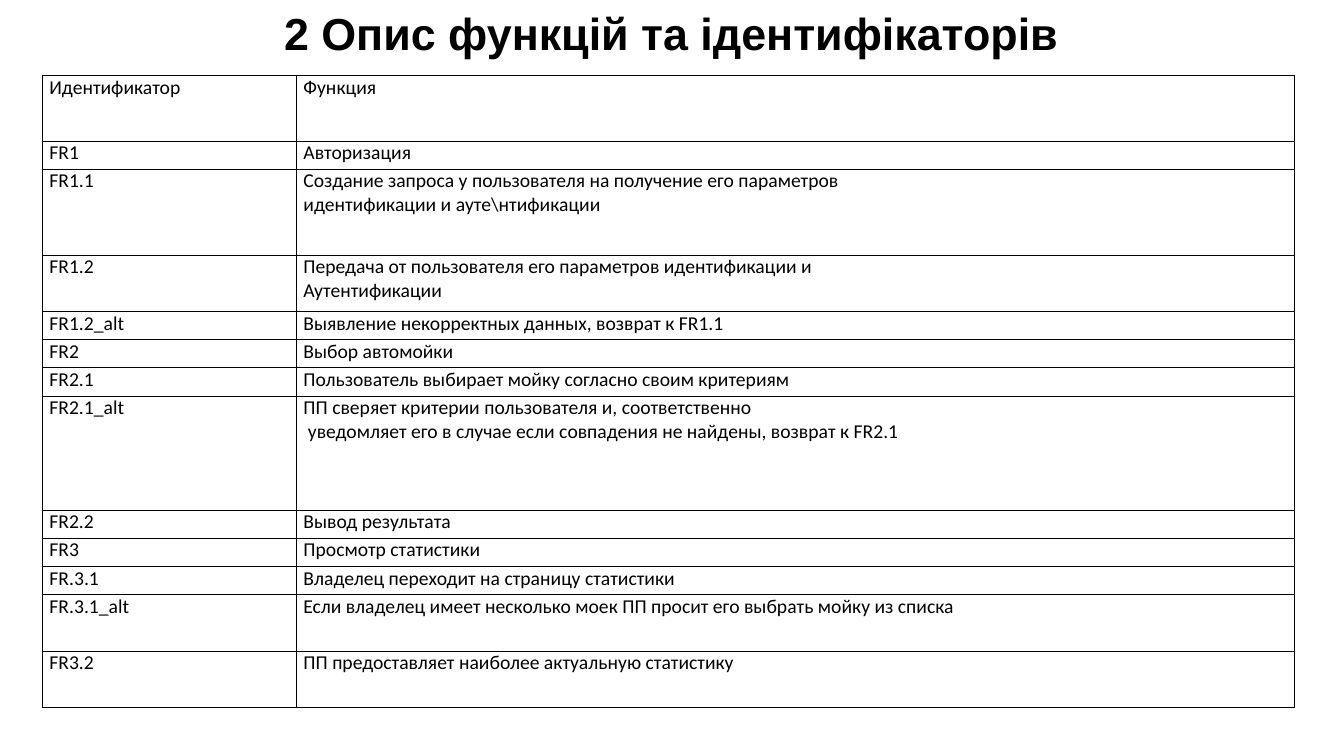
from lxml.etree import SubElement
from pptx import Presentation
from pptx.dml.color import RGBColor
from pptx.enum.text import MSO_ANCHOR, PP_ALIGN
from pptx.oxml.ns import qn
from pptx.util import Inches, Pt

BLACK = "000000"
COLUMN_WIDTHS = [2.52, 9.9]
ROWS = [
    (0.65, "Идентификатор", "Функция"),
    (0.28, "FR1", "Авторизация"),
    (0.85, "FR1.1", "Создание запроса у пользователя на получение его параметров\n"
                    "идентификации и ауте\\нтификации"),
    (0.56, "FR1.2", "Передача от пользователя его параметров идентификации и\n"
                    "Аутентификации"),
    (0.28, "FR1.2_alt", "Выявление некорректных данных, возврат к FR1.1"),
    (0.28, "FR2", "Выбор автомойки"),
    (0.28, "FR2.1", "Пользователь выбирает мойку согласно своим критериям"),
    (1.13, "FR2.1_alt", "ПП сверяет критерии пользователя и, соответственно\n"
                        " уведомляет его в случае если совпадения не найдены, возврат к FR2.1"),
    (0.28, "FR2.2", "Вывод результата"),
    (0.28, "FR3", "Просмотр статистики"),
    (0.28, "FR.3.1", "Владелец переходит на страницу статистики"),
    (0.56, "FR.3.1_alt", "Если владелец имеет несколько моек ПП просит его выбрать мойку из списка"),
    (0.56, "FR3.2", "ПП предоставляет наиболее актуальную статистику"),
]


def rgb(color):
    return RGBColor.from_string(color)


def set_font(p, name, size, color, bold=False):
    p.font.name = name
    p.font.size = Pt(size)
    p.font.bold = bold
    p.font.color.rgb = rgb(color)


def add_title(s, text):
    sp = s.shapes.title
    sp.left, sp.top = Inches(2.69), Inches(0)
    sp.width, sp.height = Inches(7.94), Inches(0.64)
    tf = sp.text_frame
    tf.text = text
    tf.word_wrap = False
    tf.vertical_anchor = MSO_ANCHOR.MIDDLE
    p = tf.paragraphs[0]
    p.alignment = PP_ALIGN.CENTER
    set_font(p, "Arial", 32, BLACK, bold=True)


def set_borders(cell, color, width):
    tc_pr = cell._tc.get_or_add_tcPr()
    for side in ("lnL", "lnR", "lnT", "lnB"):
        ln = SubElement(tc_pr, qn(f"a:{side}"), w=str(Pt(width)))
        fill = SubElement(ln, qn("a:solidFill"))
        SubElement(fill, qn("a:srgbClr"), val=color)


def fill_cell(cell, text):
    set_borders(cell, BLACK, 0.75)
    cell.fill.background()
    cell.margin_left = cell.margin_right = Inches(0.07)
    cell.margin_top = cell.margin_bottom = 0
    cell.vertical_anchor = MSO_ANCHOR.TOP
    cell.text_frame.text = text
    for p in cell.text_frame.paragraphs:
        set_font(p, "Calibri", 14, BLACK)


def add_function_table(s, rows, widths):
    height = sum(row[0] for row in rows)
    table = s.shapes.add_table(len(rows), len(widths), Inches(0.42), Inches(0.75),
                               Inches(sum(widths)), Inches(height)).table
    table.first_row = table.horz_banding = False
    for column, width in zip(table.columns, widths):
        column.width = Inches(width)
    for row, (row_height, *texts) in zip(table.rows, rows):
        row.height = Inches(row_height)
        for cell, text in zip(row.cells, texts):
            fill_cell(cell, text)


def main():
    prs = Presentation()
    prs.slide_width, prs.slide_height = Inches(13.33), Inches(7.5)
    s = prs.slides.add_slide(prs.slide_layouts[5])
    add_function_table(s, ROWS, COLUMN_WIDTHS)
    add_title(s, "2 Опис функцій та ідентифікаторів")
    prs.save("out.pptx")


if __name__ == "__main__":
    main()
